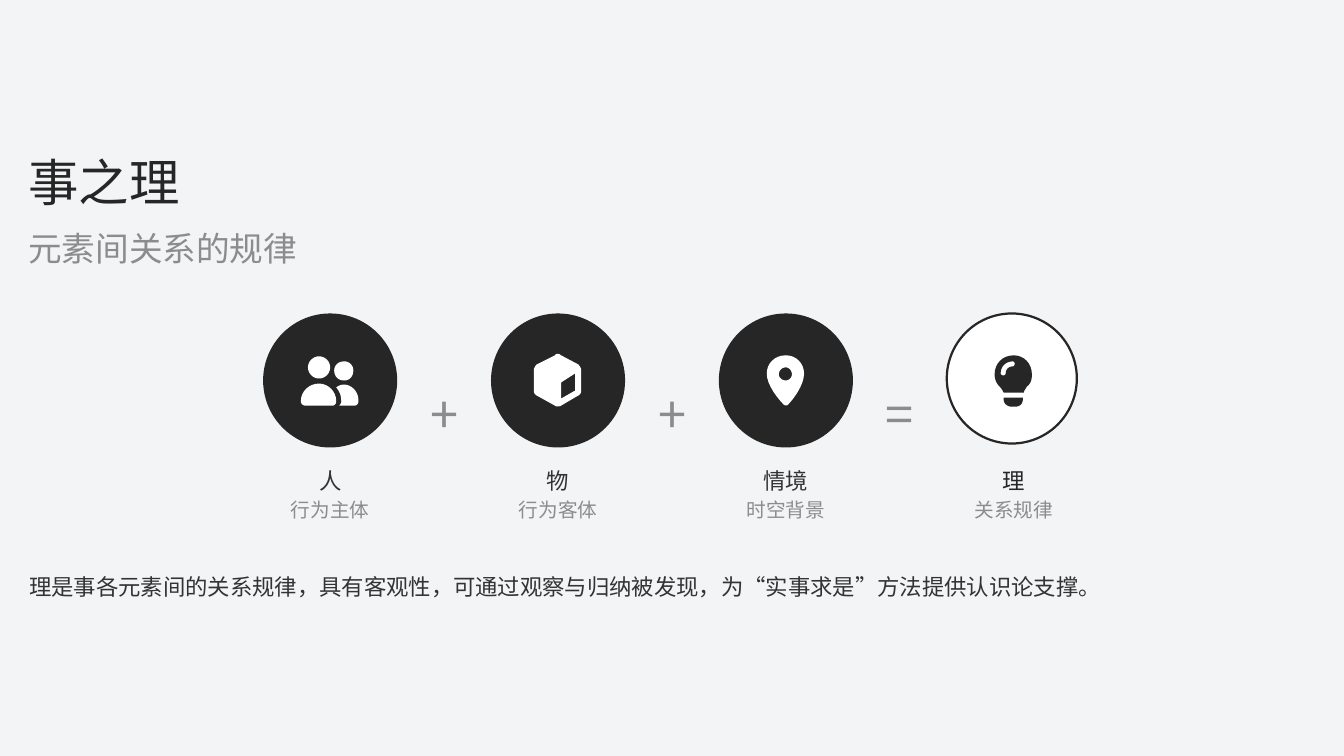
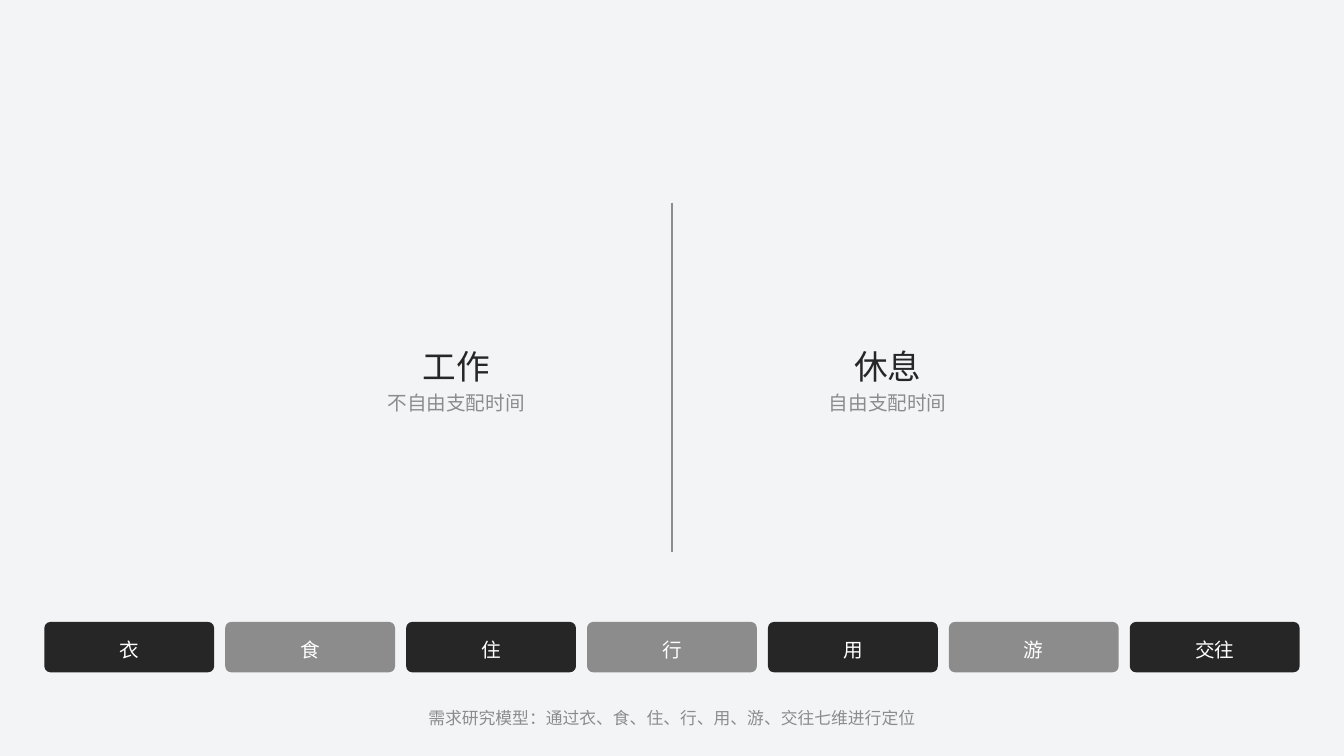
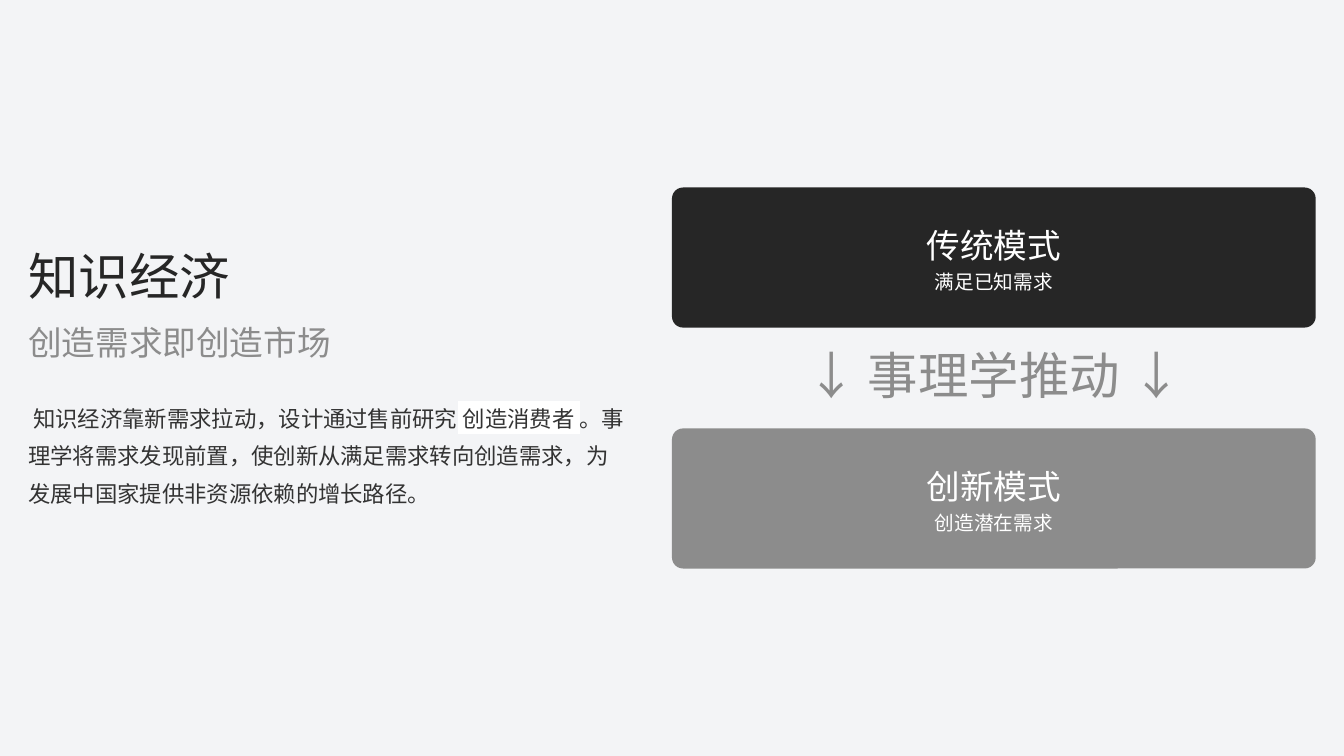
from collections import namedtuple

from lxml import etree
from pptx import Presentation
from pptx.dml.color import RGBColor
from pptx.enum.shapes import MSO_CONNECTOR, MSO_SHAPE
from pptx.enum.text import MSO_ANCHOR, PP_ALIGN
from pptx.oxml.ns import qn
from pptx.util import Inches, Pt

OVAL, ROUNDED = MSO_SHAPE.OVAL, MSO_SHAPE.ROUNDED_RECTANGLE
STRAIGHT = MSO_CONNECTOR.STRAIGHT
LEFT, CENTER = PP_ALIGN.LEFT, PP_ALIGN.CENTER
MIDDLE = MSO_ANCHOR.MIDDLE

PAPER = RGBColor(0xF3, 0xF4, 0xF6)
INK = RGBColor(0x26, 0x26, 0x26)
BODY = RGBColor(0x33, 0x33, 0x33)
GRAY = RGBColor(0x8C, 0x8C, 0x8C)
WHITE = RGBColor(0xFF, 0xFF, 0xFF)
FONT = "Noto Sans CJK SC"

W, H = 13.33, 7.5
MARGIN = 0.28

Style = namedtuple("Style", "size spacing height")
TITLE = Style(36, 0.9, 0.56)
HEADING = Style(24, 1.1, 0.44)
LABEL = Style(16, 1.3, 0.33)
PARAGRAPH = Style(16, 1.4, 1.08)
DETAIL = Style(14, 1.2, 0.28)
NOTE = Style(12, 1.1, 0.22)

ICON_UNIT = 0.01
CURVE_STEPS = 8

PEOPLE = [
    [(-22, -13), (-22, -19, -17, -24, -11, -24), (-5, -24, 0, -19, 0, -13),
     (0, -7, -5, -2, -11, -2), (-17, -2, -22, -7, -22, -13)],
    [(-29, 20), (-29, 11, -21, 3, -11, 3), (-2, 3, 6, 11, 6, 20), (6, 21),
     (6, 23, 4, 25, 2, 25), (-24, 25), (-27, 25, -29, 23, -29, 21)],
    [(14, -19), (19, -19, 23, -15, 23, -10), (23, -4, 19, 0, 14, 0),
     (8, 0, 4, -4, 4, -10), (4, -15, 8, -19, 14, -19)],
    [(14, 4), (21, 4, 28, 11, 28, 19), (28, 21), (28, 23, 26, 25, 24, 25),
     (9, 25), (10, 24, 11, 22, 11, 21), (11, 20), (11, 15, 9, 10, 6, 7),
     (8, 5, 11, 4, 14, 4)],
]
CUBE = [
    [(-3, -25), (-2, -27, 1, -27, 3, -25), (20, -16),
     (22, -14, 23, -12, 23, -10), (23, 10), (23, 12, 22, 14, 20, 15),
     (3, 25), (1, 26, -2, 26, -3, 25), (-21, 15),
     (-23, 14, -24, 12, -24, 10), (-24, -10), (-24, -12, -23, -14, -21, -16)],
    [(17, 10), (17, -7), (3, 2), (3, 18)],
]
PIN = [
    [(-19, -7), (-19, -17, -11, -25, 0, -25), (10, -25, 18, -17, 18, -7),
     (18, 5, 7, 19, 2, 24), (1, 25, -1, 25, -2, 24),
     (-7, 19, -19, 5, -19, -7)],
    [(0, 0), (3, 0, 6, -3, 6, -6), (6, -10, 3, -13, 0, -13),
     (-4, -13, -7, -10, -7, -6), (-7, -3, -4, 0, 0, 0)],
]
BULB = [
    [(10, 12), (10, 10, 12, 8, 13, 6), (17, 3, 18, -1, 18, -6),
     (18, -17, 10, -25, 0, -25), (-11, -25, -19, -17, -19, -6),
     (-19, -1, -17, 3, -14, 6), (-12, 8, -11, 10, -10, 12)],
    [(9, 17), (-10, 17), (-10, 19), (-10, 23, -6, 26, -2, 26), (1, 26),
     (6, 26, 9, 23, 9, 19)],
    [(-1, -14), (-5, -14, -8, -11, -8, -7), (-8, -6, -9, -5, -10, -5),
     (-12, -5, -13, -6, -13, -7), (-13, -14, -8, -19, -1, -19),
     (0, -19, 1, -18, 1, -17), (1, -15, 0, -14, -1, -14)],
]


def add_run(p, text, style, color, highlight=None):
    r = p.add_run()
    r.text = text
    r.font.size = Pt(style.size)
    r.font.color.rgb = color
    rPr = r.font._element
    if highlight is not None:
        mark = etree.SubElement(rPr, qn("a:highlight"))
        etree.SubElement(mark, qn("a:srgbClr"), val=str(highlight))
    for tag in ("a:latin", "a:ea"):
        etree.SubElement(rPr, qn(tag), typeface=FONT)


def format_frame(tf, style, align):
    tf.word_wrap = True
    tf.vertical_anchor = MIDDLE
    tf.margin_left = tf.margin_right = tf.margin_top = tf.margin_bottom = 0
    p = tf.paragraphs[0]
    p.alignment = align
    p.line_spacing = style.spacing
    return p


def add_text(s, x, y, w, runs, style, color, align=CENTER):
    box = s.shapes.add_textbox(Inches(x), Inches(y), Inches(w),
                               Inches(style.height))
    p = format_frame(box.text_frame, style, align)
    for text, highlight in [(runs, None)] if isinstance(runs, str) else runs:
        add_run(p, text, style, color, highlight)


def add_stack(s, x, y, w, lines, gap=0, align=CENTER):
    for text, style, color in lines:
        add_text(s, x, y, w, text, style, color, align)
        y += style.height + gap


def add_title(s, y, w, title, subtitle):
    add_stack(s, MARGIN, y, w,
              [(title, TITLE, INK), (subtitle, HEADING, GRAY)], 0.1, LEFT)


def paint(sp, fill, line=None):
    sp.shadow.inherit = False
    sp.fill.solid()
    sp.fill.fore_color.rgb = fill
    if line is None:
        sp.line.fill.background()
    else:
        sp.line.color.rgb = line
        sp.line.width = Pt(1.6)


def add_block(s, kind, x, y, w, h, fill, line=None, radius=None):
    sp = s.shapes.add_shape(kind, Inches(x), Inches(y), Inches(w), Inches(h))
    paint(sp, fill, line)
    if radius is not None:
        sp.adjustments[0] = radius / min(w, h)
    return sp


def outline(contour):
    points = [contour[0]]
    for segment in contour[1:]:
        if len(segment) == 2:
            points.append(segment)
            continue
        x0, y0 = points[-1]
        x1, y1, x2, y2, x3, y3 = segment
        for i in range(1, CURVE_STEPS + 1):
            t = i / CURVE_STEPS
            a, b, c, d = (1 - t)**3, 3*t*(1 - t)**2, 3*t*t*(1 - t), t**3
            points.append((a*x0 + b*x1 + c*x2 + d*x3,
                           a*y0 + b*y1 + c*y2 + d*y3))
    return [(100 * x, 100 * y) for x, y in points]


def add_icon(s, cx, cy, contours, color):
    builder = None
    for contour in contours:
        start, *rest = outline(contour)
        if builder is None:
            builder = s.shapes.build_freeform(*start,
                                              scale=Inches(ICON_UNIT) / 100)
        else:
            builder.move_to(*start)
        builder.add_line_segments(rest, close=True)
    paint(builder.convert_to_shape(Inches(cx), Inches(cy)), color)


def add_divider(s, x, y, h):
    line = s.shapes.add_connector(STRAIGHT, Inches(x), Inches(y),
                                  Inches(x), Inches(y + h))
    line.line.color.rgb = GRAY
    line.line.width = Pt(1)
    etree.SubElement(line._element.spPr, qn("a:effectLst"))


def new_slide(prs):
    return prs.slides.add_slide(prs.slide_layouts[6])


def relation_slide(prs):
    s = new_slide(prs)
    add_title(s, 1.56, W - 2 * MARGIN, "事之理", "元素间关系的规律")
    left, top, step, size, ring = 2.61, 3.11, 2.26, 1.33, 1.29
    label_w, sign_w = 1.89, 0.82
    elements = [("人", "行为主体", PEOPLE, "+"),
                ("物", "行为客体", CUBE, "+"),
                ("情境", "时空背景", PIN, "="),
                ("理", "关系规律", BULB, None)]
    for i, (name, role, icon, sign) in enumerate(elements):
        x = left + i * step
        cx = x + size / 2
        if sign:
            add_block(s, OVAL, x, top, size, size, INK)
            add_text(s, cx + (step - sign_w) / 2, 3.86, sign_w, sign,
                     TITLE, GRAY)
        else:
            add_block(s, OVAL, x, top, ring, ring, WHITE, INK)
        add_icon(s, cx, top + size / 2, icon, WHITE if sign else INK)
        add_stack(s, cx - label_w / 2, 4.56, label_w,
                  [(name, LABEL, BODY if sign else INK),
                   (role, DETAIL, GRAY)])
    add_text(s, 0, 5.61, 11.22,
             "理是事各元素间的关系规律，具有客观性，可通过观察与归纳被发现，"
             "为“实事求是”方法提供认识论支撑。", LABEL, BODY)


def needs_slide(prs):
    s = new_slide(prs)
    half_w, offset = 4.38, 2.14
    for side, name, detail in ((-1, "工作", "不自由支配时间"),
                               (1, "休息", "自由支配时间")):
        add_stack(s, W / 2 + side * offset - half_w / 2, 3.39, half_w,
                  [(name, HEADING, INK), (detail, DETAIL, GRAY)])
    add_divider(s, W / 2, 2.01, 3.47)
    needs = ["衣", "食", "住", "行", "用", "游", "交往"]
    edge, gap = 0.44, 0.11
    tile_w = (W - 2 * edge - gap * (len(needs) - 1)) / len(needs)
    for i, need in enumerate(needs):
        tile = add_block(s, ROUNDED, edge + i * (tile_w + gap), 6.17,
                         tile_w, 0.5, GRAY if i % 2 else INK, radius=0.06)
        p = format_frame(tile.text_frame, DETAIL, CENTER)
        add_run(p, need, DETAIL, WHITE)
    add_text(s, 0, 7, W, "需求研究模型：通过衣、食、住、行、用、游、交往七维进行定位",
             NOTE, GRAY)


def economy_slide(prs):
    s = new_slide(prs)
    add_title(s, 2.49, W / 2 - MARGIN, "知识经济", "创造需求即创造市场")
    add_text(s, MARGIN, 3.93, 5.94,
             [(" 知识经济靠新需求拉动，设计通过售前研究", None),
              (" 创造消费者 ", WHITE),
              ("。事理学将需求发现前置，使创新从满足需求转向创造需求，"
               "为发展中国家提供非资源依赖的增长路径。", None)],
             PARAGRAPH, BODY, LEFT)
    x, card_w, card_h = W / 2, W / 2 - MARGIN, 1.39
    inset = (card_h - HEADING.height - DETAIL.height) / 2
    for y, fill, name, detail in (
            (1.86, INK, "传统模式", "满足已知需求"),
            (4.25, GRAY, "创新模式", "创造潜在需求")):
        add_block(s, ROUNDED, x, y, card_w, card_h, fill, radius=0.11)
        add_stack(s, x, y + inset, card_w,
                  [(name, HEADING, WHITE), (detail, DETAIL, WHITE)])
    add_text(s, x, 3.47, card_w, "↓ 事理学推动 ↓", TITLE, GRAY)


def main():
    prs = Presentation()
    prs.slide_width, prs.slide_height = Inches(W), Inches(H)
    fill = prs.slide_master.background.fill
    fill.solid()
    fill.fore_color.rgb = PAPER
    relation_slide(prs)
    needs_slide(prs)
    economy_slide(prs)
    prs.save("out.pptx")


if __name__ == "__main__":
    main()
